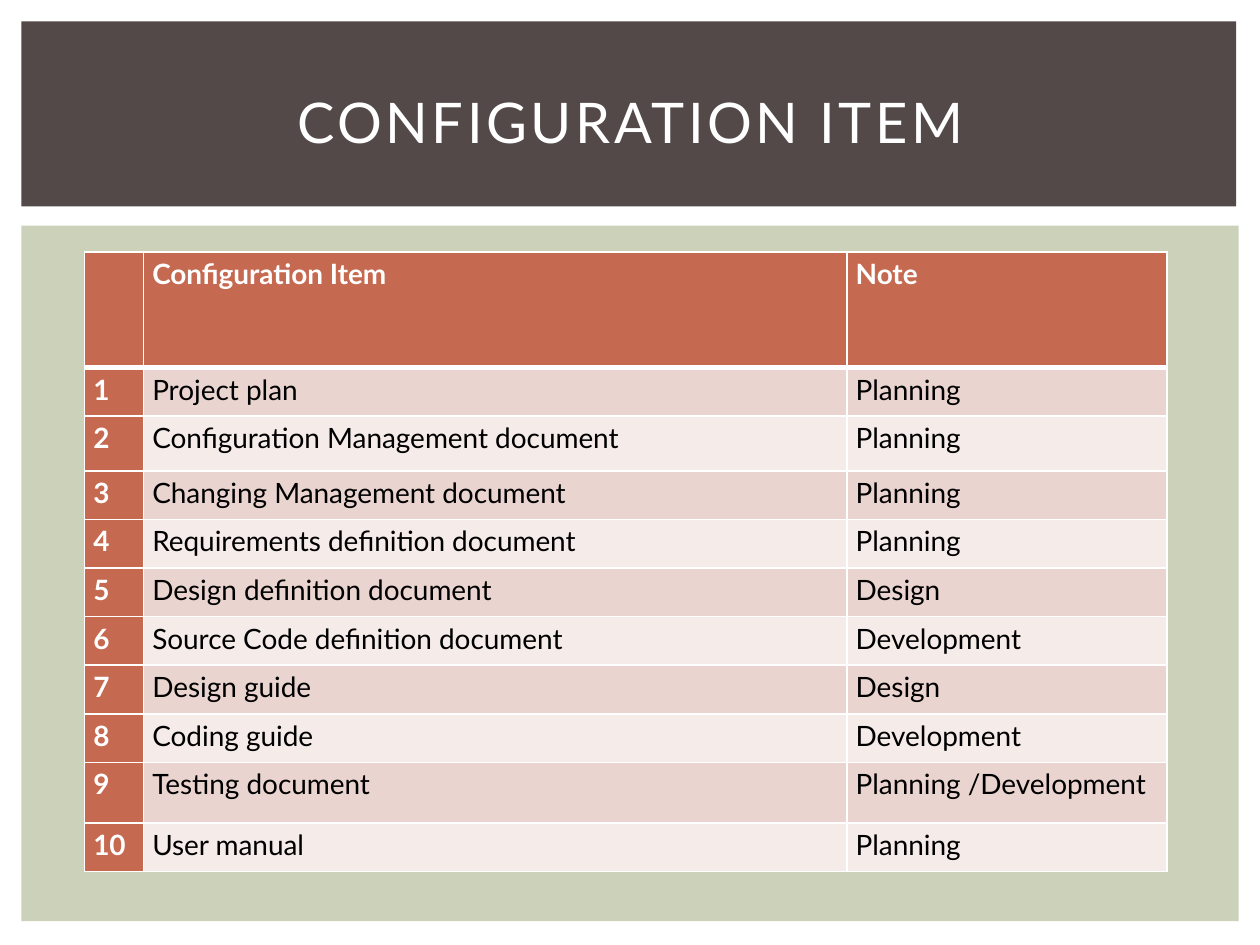
"""Build the configuration item slide with its banner and table."""
from lxml.etree import SubElement
from pptx import Presentation
from pptx.dml.color import RGBColor
from pptx.enum.shapes import MSO_SHAPE
from pptx.enum.text import MSO_ANCHOR, PP_ALIGN
from pptx.oxml.ns import qn
from pptx.util import Cm, Pt

WHITE = RGBColor(0xFF, 0xFF, 0xFF)
BLACK = RGBColor(0x00, 0x00, 0x00)
BROWN = RGBColor(0x53, 0x49, 0x49)
SAGE = RGBColor(0xCC, 0xD1, 0xB9)
RUST = RGBColor(0xC6, 0x69, 0x51)
ROSE = RGBColor(0xEA, 0xD4, 0xD0)
PALE = RGBColor(0xF5, 0xEB, 0xE9)

ITEMS = [
    ("Project plan", "Planning"),
    ("Configuration Management document", "Planning"),
    ("Changing Management document", "Planning"),
    ("Requirements definition document", "Planning"),
    ("Design definition document", "Design"),
    ("Source Code definition document", "Development"),
    ("Design guide", "Design"),
    ("Coding guide", "Development"),
    ("Testing document", "Planning /Development"),
    ("User manual", "Planning"),
]
COLUMN_WIDTHS = [1.19, 14.18, 6.46]
ROW_HEIGHT = 0.98
TALL_ROWS = {0: 2.33, 2: 1.1, 9: 1.22}


def add_span(para, text, size, color, bold=False):
    span = para.add_run()
    span.text = text
    span.font.name = "Lato"
    span.font.size = Pt(size)
    span.font.color.rgb = color
    span.font.bold = bold
    return span


def add_border(cell, side, width):
    line = SubElement(cell._tc.get_or_add_tcPr(), qn(f"a:ln{side}"), w=str(Pt(width)))
    fill = SubElement(line, qn("a:solidFill"))
    SubElement(fill, qn("a:srgbClr"), val=str(WHITE))


deck = Presentation()
deck.slide_width, deck.slide_height = Cm(25.4), Cm(19.05)
page = deck.slides.add_slide(deck.slide_layouts[6])

panels = [(4.55, 24.54, 14.02, SAGE), (0.43, 24.49, 3.73, BROWN)]
for top, width, height, color in panels:
    panel = page.shapes.add_shape(
        MSO_SHAPE.RECTANGLE, Cm(0.43), Cm(top), Cm(width), Cm(height))
    panel.shadow.inherit = False
    panel.fill.solid()
    panel.fill.fore_color.rgb = color
    panel.line.fill.background()

title = page.shapes.add_textbox(Cm(1.07), Cm(0.99), Cm(23.29), Cm(2.92))
title.text_frame.word_wrap = True
title.text_frame.vertical_anchor = MSO_ANCHOR.MIDDLE
title_para = title.text_frame.paragraphs[0]
title_para.alignment = PP_ALIGN.CENTER
title_span = add_span(title_para, "CONFIGURATION ITEM", 32, WHITE)
title_span.font._element.set("spc", "200")

rows = [("", "Configuration Item", "Note")]
rows += [(str(number), *item) for number, item in enumerate(ITEMS, 1)]
heights = [TALL_ROWS.get(index, ROW_HEIGHT) for index in range(len(rows))]
table = page.shapes.add_table(
    len(rows), len(COLUMN_WIDTHS), Cm(1.7), Cm(5.08),
    Cm(sum(COLUMN_WIDTHS)), Cm(sum(heights))).table
for column, width in zip(table.columns, COLUMN_WIDTHS):
    column.width = Cm(width)

for row_index, texts in enumerate(rows):
    table.rows[row_index].height = Cm(heights[row_index])
    for column_index, text in enumerate(texts):
        cell = table.cell(row_index, column_index)
        heading = row_index == 0 or column_index == 0
        cell.margin_left = cell.margin_right = Cm(0.18)
        cell.margin_top = cell.margin_bottom = 0
        for side in "LRTB":
            header_edge = (row_index, side) in [(0, "B"), (1, "T")]
            add_border(cell, side, 3 if header_edge else 1)
        cell.fill.solid()
        cell.fill.fore_color.rgb = RUST if heading else ROSE if row_index % 2 else PALE
        if text:
            para = cell.text_frame.paragraphs[0]
            para.alignment = PP_ALIGN.JUSTIFY
            para.line_spacing = 1.15
            add_span(para, text, 16, WHITE if heading else BLACK, heading)

deck.save("out.pptx")
